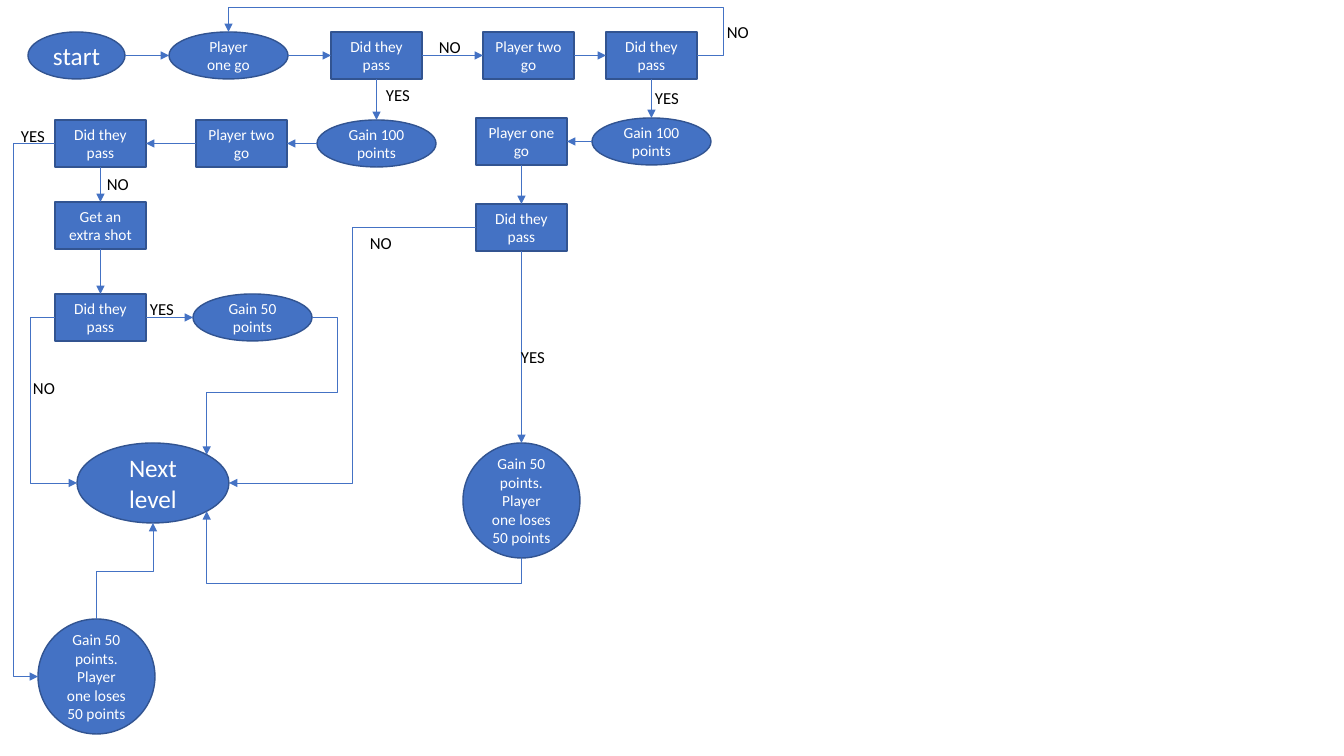
from math import cos, radians, sin, sqrt
from lxml.etree import SubElement
from pptx import Presentation
from pptx.dml.color import RGBColor
from pptx.enum.shapes import MSO_CONNECTOR as LINK, MSO_SHAPE as SHAPE
from pptx.enum.text import MSO_ANCHOR as ANCHOR, MSO_AUTO_SIZE as AUTO, PP_ALIGN as ALIGN
from pptx.oxml.ns import qn
from pptx.util import Pt

PX = 914400 / 100.8
FONT = "Calibri"
BLUE = RGBColor(0x44, 0x72, 0xC4)
NAVY = RGBColor(0x32, 0x54, 0x91)
WHITE = RGBColor(0xFF, 0xFF, 0xFF)
BLACK = RGBColor(0, 0, 0)

# Step kinds: shape, width, height, text size
KINDS = {
    "begin": (SHAPE.OVAL, 97, 47, 18),
    "oval": (SHAPE.OVAL, 119, 47, 11),
    "box": (SHAPE.RECTANGLE, 91, 47, 11),
    "circle": (SHAPE.OVAL, 117, 115, 11),
    "finish": (SHAPE.OVAL, 152, 80, 18),
}
PASS = "Did they pass"
SWING = "Gain 50 points. Player one loses 50 points"

# Steps: kind, left, top, wording
STEPS = {
    "start": ("begin", 28, 32, "start"),
    "one": ("oval", 169, 32, "Player one go"),
    "one pass": ("box", 331, 32, PASS),
    "two": ("box", 483, 32, "Player two go"),
    "two pass": ("box", 606, 32, PASS),
    "one gains": ("oval", 317, 120, "Gain 100 points"),
    "two replies": ("box", 196, 120, "Player two go"),
    "reply pass": ("box", 55, 120, PASS),
    "extra": ("box", 55, 202, "Get an extra shot"),
    "extra pass": ("box", 55, 294, PASS),
    "extra gains": ("oval", 193, 294, "Gain 50 points"),
    "two gains": ("oval", 592, 118, "Gain 100 points"),
    "one replies": ("box", 476, 118, "Player one go"),
    "one reply pass": ("box", 476, 204, PASS),
    "left swing": ("circle", 38, 619, SWING),
    "right swing": ("circle", 463, 443, SWING),
    "next": ("finish", 77, 443, "Next level"),
}

# Links: from step, side, to step, side, then where an elbow bends
LINKS = [
    ("start", "right", "one", "left"),
    ("one", "right", "one pass", "left"),
    ("one pass", "right", "two", "left"),
    ("two", "right", "two pass", "left"),
    ("two pass", "right", "one", "top", 723, 7),
    ("one pass", "bottom", "one gains", "top"),
    ("one gains", "left", "two replies", "right"),
    ("two replies", "left", "reply pass", "right"),
    ("reply pass", "left", "left swing", "left", 13),
    ("reply pass", "bottom", "extra", "top"),
    ("extra", "bottom", "extra pass", "top"),
    ("extra pass", "right", "extra gains", "left"),
    ("extra pass", "left", "next", "left", 30),
    ("extra gains", "right", "next", "top right", 337, 392),
    ("two pass", "bottom", "two gains", "top"),
    ("two gains", "left", "one replies", "right"),
    ("one replies", "bottom", "one reply pass", "top"),
    ("one reply pass", "left", "next", "right", 352),
    ("one reply pass", "bottom", "right swing", "top"),
    ("left swing", "top", "next", "bottom", 571),
    ("right swing", "bottom", "next", "bottom right", 583),
]
ANSWERS = [
    ("NO", 429, 32), ("YES", 376, 80), ("YES", 11, 121), ("NO", 97, 169),
    ("NO", 23, 373), ("YES", 140, 294), ("YES", 645, 83), ("NO", 717, 17),
    ("YES", 511, 342), ("NO", 360, 228),
]

# Connection sites: offset from the centre in half sizes, site on box, site on oval
DIAGONAL = sqrt(0.5)
SITES = {
    "top": (0, -1, 0, 0), "left": (-1, 0, 1, 2),
    "bottom": (0, 1, 2, 4), "right": (1, 0, 3, 6),
    "top right": (DIAGONAL, -DIAGONAL, None, 7),
    "bottom right": (DIAGONAL, DIAGONAL, None, 5),
}
TURNS = {"right": 0, "bottom": 90, "top": 90, "left": 180}

prs = Presentation()
prs.slide_width, prs.slide_height = round(1344 * PX), round(756 * PX)
slide = prs.slides.add_slide(prs.slide_layouts[6])


def emu(*lengths):
    return [round(length * PX) for length in lengths]


def write(frame, wording, size, color, align):
    frame.word_wrap = True
    paragraph = frame.paragraphs[0]
    paragraph.alignment = align
    run = paragraph.add_run()
    run.text = wording
    run.font.name, run.font.size = FONT, Pt(size)
    run.font.color.rgb = color


def site(name, side):
    kind, left, top, _ = STEPS[name]
    shape, width, height, _ = KINDS[kind]
    dx, dy, on_box, on_oval = SITES[side]
    point = left + width / 2 * (1 + dx), top + height / 2 * (1 + dy)
    return point, on_oval if shape == SHAPE.OVAL else on_box


def add_link(source, out, target, into, *bends):
    (x1, y1), out_site = site(source, out)
    (x2, y2), in_site = site(target, into)
    turn = TURNS[out] if bends else 0
    cx, cy, dx, dy = (x1 + x2) / 2, (y1 + y2) / 2, x2 - x1, y2 - y1
    # Ends as they lie before the elbow is turned about its centre
    c, s = round(cos(radians(turn))), round(sin(radians(turn)))
    u, v = c * dx + s * dy, c * dy - s * dx
    link = slide.shapes.add_connector(
        LINK.ELBOW if bends else LINK.STRAIGHT,
        *emu(cx - u / 2, cy - v / 2, cx + u / 2, cy + v / 2))
    link.line.color.rgb, link.line.width = BLUE, Pt(0.5)
    properties = link.element.spPr
    SubElement(link.line._get_or_add_ln(), qn("a:tailEnd"), type="triangle")
    SubElement(properties, qn("a:effectLst"))
    if bends:
        properties.find(qn("a:xfrm")).set("rot", str(turn * 60000))
        geometry = properties.find(qn("a:prstGeom"))
        geometry.set("prst", f"bentConnector{len(bends) + 2}")
        guides = geometry.find(qn("a:avLst"))
        if guides is None:
            guides = SubElement(geometry, qn("a:avLst"))
        axes = [(x1, dx), (y1, dy)]
        if turn == 90:
            axes.reverse()
        for i, (bend, (begin, span)) in enumerate(zip(bends, axes), 1):
            name = f"adj{i}" if len(bends) > 1 else "adj1"
            ratio = round((bend - begin) / span * 100000)
            SubElement(guides, qn("a:gd"), name=name, fmla=f"val {ratio}")
    # Glue both ends to their steps
    ends = link.element.find(".//" + qn("p:cNvCxnSpPr"))
    for tag, step, index in (("a:stCxn", source, out_site), ("a:endCxn", target, in_site)):
        SubElement(ends, qn(tag), id=str(steps[step].shape_id), idx=str(index))


# Steps
steps = {}
for name, (kind, left, top, wording) in STEPS.items():
    outline, width, height, size = KINDS[kind]
    step = slide.shapes.add_shape(outline, *emu(left, top, width, height))
    step.shadow.inherit = False
    step.fill.solid()
    step.fill.fore_color.rgb = BLUE
    step.line.color.rgb, step.line.width = NAVY, Pt(1)
    step.text_frame.vertical_anchor = ANCHOR.MIDDLE
    write(step.text_frame, wording, size, WHITE, ALIGN.CENTER)
    steps[name] = step

# Links
for link_ends in LINKS:
    add_link(*link_ends)

# Answers beside the links
for answer, left, top in ANSWERS:
    frame = slide.shapes.add_textbox(*emu(left, top, 46, 30)).text_frame
    frame.auto_size = AUTO.SHAPE_TO_FIT_TEXT
    write(frame, answer, 12, BLACK, ALIGN.LEFT)

prs.save("out.pptx")
